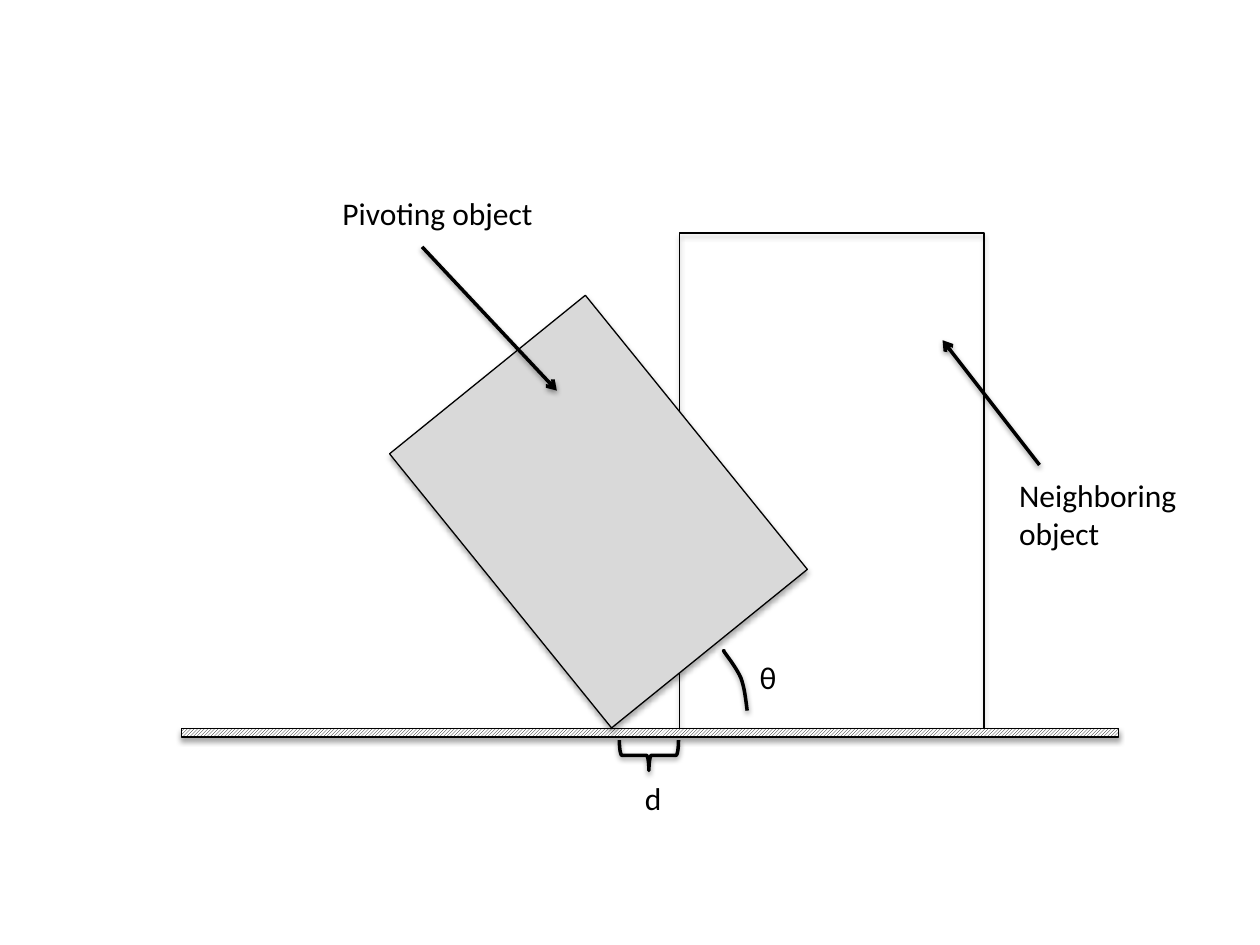
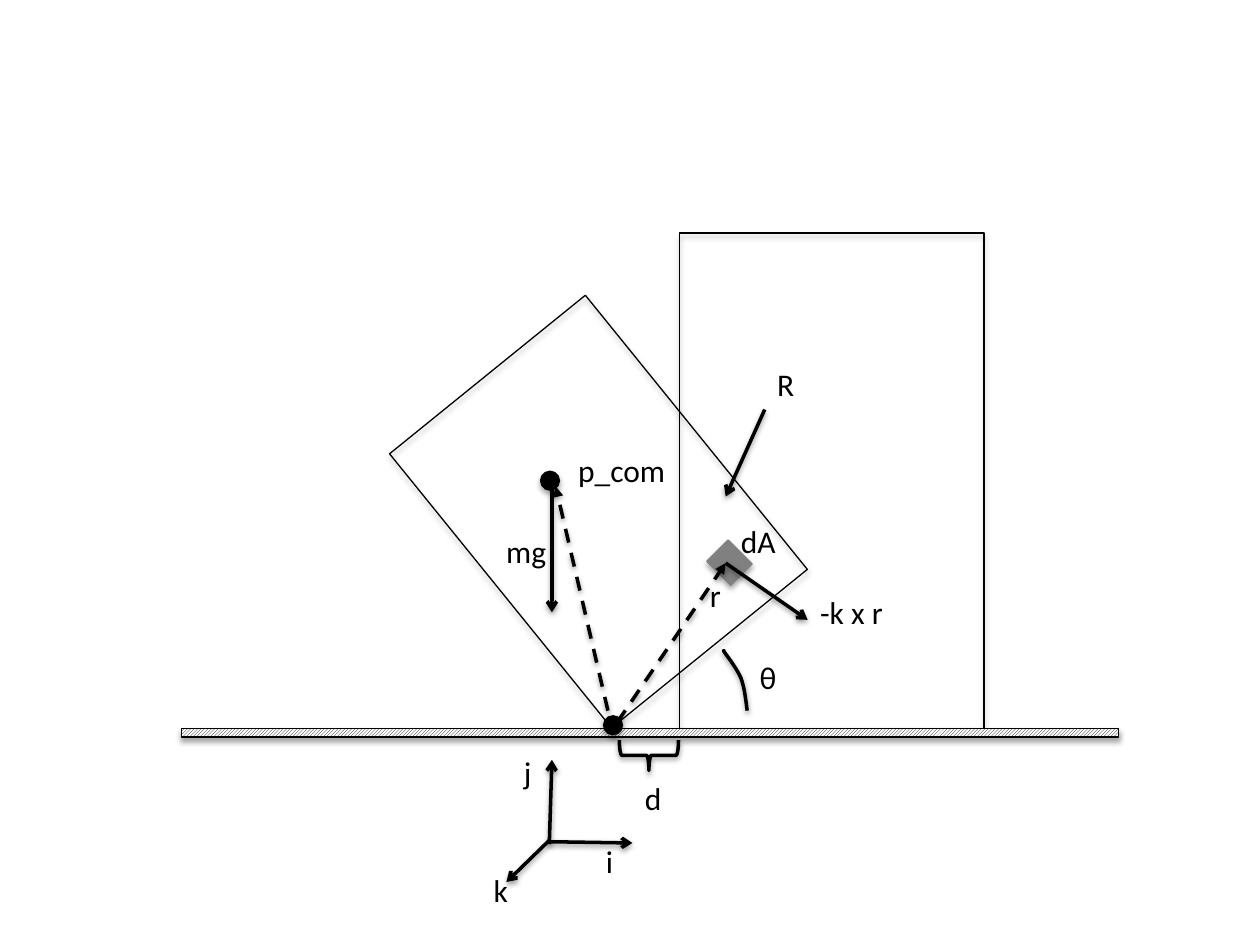
from math import cos, radians, sin

from lxml import etree
from pptx import Presentation
from pptx.dml.color import RGBColor
from pptx.enum.dml import MSO_LINE, MSO_PATTERN
from pptx.enum.shapes import MSO_CONNECTOR, MSO_SHAPE
from pptx.enum.text import MSO_AUTO_SIZE
from pptx.oxml.ns import qn
from pptx.util import Pt

RECTANGLE, OVAL, LEFT_BRACE = MSO_SHAPE.RECTANGLE, MSO_SHAPE.OVAL, MSO_SHAPE.LEFT_BRACE
STRAIGHT = MSO_CONNECTOR.STRAIGHT
DASH = MSO_LINE.DASH
HATCH = MSO_PATTERN.LIGHT_UPWARD_DIAGONAL
SHRINK_TO_TEXT = MSO_AUTO_SIZE.SHAPE_TO_FIT_TEXT

COLORS = {"ink": "000000", "paper": "FFFFFF", "object": "D9D9D9", "patch": "808080"}
FONT, FONT_SIZE = "Calibri", 18
THIN, THICK = 0.75, 2
FIRST_LINE, LINE_STEP = 29, 22

# Shared scene: left, top, width, height
FLOOR = (103.7, 416.2, 535.7, 5)
NEIGHBOR = (388.1, 133.2, 174.2, 283)
BRACE = (362.2, 414.7, 17.3, 33.8)
PATCH = (408.2, 311.8, 17.3, 19.4)
PIVOT = (349.5, 416)
PIVOTING_SIZE = (144, 201.6)
TILT = 39
ANGLE_START = (427, 406.1)
ANGLE_CURVES = [
    ((426.2, 399.6), (425.5, 393.1), (423.4, 387.4)),
    ((421.2, 382.3), (416.2, 375.8), (414.7, 373.7)),
    ((412.6, 370.8), (414, 372.2), (414, 372.2)),
]
CURVE_STEPS = 8

# Labels: lines, left, top, width
SCENE_LABELS = [(["θ"], 427, 372.2, 24.5), (["d"], 361.4, 441.4, 23.8)]
OBJECT_LABELS = [
    (["Neighboring", "object"], 575.3, 268.6, 105.1),
    (["Pivoting object"], 188.6, 107.3, 124.6),
]
FORCE_LABELS = [
    (["mg"], 282.2, 300.2, 37.4),
    (["p_com"], 323.3, 254.2, 64.8),
    (["dA"], 416.2, 294.5, 34.6),
    (["r"], 398.6, 325.4, 21),
    (["k"], 275, 493.9, 23),
    (["i"], 339.1, 477.4, 18.7),
    (["j"], 292.3, 427, 18.7),
    (["R"], 437, 205.2, 24.5),
    (["-k x r"], 461.5, 335.5, 51.1),
]

# Arrows: start, end
OBJECT_ARROWS = [((241.2, 141.1), (318.2, 223.2)), ((594, 265.7), (538.6, 194.4))]
FORCE_ARROWS = [
    ((315.4, 277.9), (315.4, 349.9)),
    ((437, 234), (414.7, 283.7)),
    ((414.7, 321.8), (461.5, 354.2)),
]
AXIS_ARROWS = [
    ((313.9, 482.4), (315.4, 434.2)),
    ((313.9, 481), (361.4, 481.7)),
    ((313.9, 480.2), (289.4, 504)),
]
POSITION_VECTORS = [((350.6, 419.8), (317.5, 277.9)), ((352.8, 412.6), (414.7, 321.8))]
DOT_CENTERS = [(314.3, 274.7), (350.3, 414.4)]
DOT_SIZE = 10.8


def rgb(name):
    return RGBColor.from_string(COLORS[name])


def add_shadow(shape, opacity, distance):
    effects = etree.SubElement(shape.element.spPr, qn("a:effectLst"))
    shadow = etree.SubElement(
        effects, qn("a:outerShdw"), blurRad=str(Pt(3.1)), dist=str(Pt(distance)),
        dir="5400000", rotWithShape="0")
    color = etree.SubElement(shadow, qn("a:srgbClr"), val=COLORS["ink"])
    etree.SubElement(color, qn("a:alpha"), val=str(opacity * 1000))


def draw_outline(shape, width, color="ink"):
    shape.line.color.rgb = rgb(color)
    shape.line.width = Pt(width)
    if width == THICK:
        add_shadow(shape, 38, 1.6)
    else:
        add_shadow(shape, 35, 1.8)


def add_figure(slide, kind, box, fill=None, line="ink", width=THIN, rotation=0):
    figure = slide.shapes.add_shape(kind, *map(Pt, box))
    figure.rotation = rotation
    if fill:
        figure.fill.solid()
        figure.fill.fore_color.rgb = rgb(fill)
    else:
        figure.fill.background()
    draw_outline(figure, width, line)
    return figure


def add_arrows(slide, arrows, head="arrow", dash=None):
    for start, end in arrows:
        arrow = slide.shapes.add_connector(STRAIGHT, *map(Pt, start + end))
        draw_outline(arrow, THICK)
        if dash:
            arrow.line.dash_style = dash
        etree.SubElement(arrow.element.spPr.find(qn("a:ln")), qn("a:tailEnd"), type=head)


def add_labels(slide, labels):
    for lines, left, top, width in labels:
        height = FIRST_LINE + LINE_STEP * (len(lines) - 1)
        frame = slide.shapes.add_textbox(*map(Pt, (left, top, width, height))).text_frame
        frame.word_wrap = False
        frame.auto_size = SHRINK_TO_TEXT
        for index, line in enumerate(lines):
            paragraph = frame.add_paragraph() if index else frame.paragraphs[0]
            run = paragraph.add_run()
            run.text = line
            run.font.name = FONT
            run.font.size = Pt(FONT_SIZE)
            run.font.color.rgb = rgb("ink")


def pivoting_box():
    """Unrotated box whose lower left corner meets PIVOT after tilting."""
    width, height = PIVOTING_SIZE
    c, s = cos(radians(TILT)), sin(radians(TILT))
    center_x = PIVOT[0] - (height * s - width * c) / 2
    center_y = PIVOT[1] - (width * s + height * c) / 2
    return center_x - width / 2, center_y - height / 2, width, height


def curve_points(start, curves):
    """Sample a chain of cubic Bézier curves."""
    points = []
    for first, second, end in curves:
        for step in range(1, CURVE_STEPS + 1):
            t = step / CURVE_STEPS
            u = 1 - t
            points.append(tuple(
                Pt(u**3 * a + 3 * u * u * t * b + 3 * u * t * t * c + t**3 * d)
                for a, b, c, d in zip(start, first, second, end)))
        start = end
    return points


def draw_scene(slide, pivoting_fill=None):
    add_figure(slide, RECTANGLE, NEIGHBOR)
    floor = add_figure(slide, RECTANGLE, FLOOR)
    floor.fill.patterned()
    floor.fill.pattern = HATCH
    floor.fill.fore_color.rgb = rgb("ink")
    floor.fill.back_color.rgb = rgb("paper")
    add_figure(slide, RECTANGLE, pivoting_box(), pivoting_fill, rotation=360 - TILT)

    outline = slide.shapes.build_freeform(*map(Pt, ANGLE_START))
    outline.add_line_segments(curve_points(ANGLE_START, ANGLE_CURVES), close=False)
    angle = outline.convert_to_shape()
    angle.fill.background()
    draw_outline(angle, THICK)

    add_figure(slide, LEFT_BRACE, BRACE, width=THICK, rotation=270)
    add_labels(slide, SCENE_LABELS)


def draw_objects(slide):
    draw_scene(slide, "object")
    add_arrows(slide, OBJECT_ARROWS)
    add_labels(slide, OBJECT_LABELS)


def draw_forces(slide):
    add_figure(slide, RECTANGLE, PATCH, "patch", "patch", rotation=315)
    draw_scene(slide)
    add_arrows(slide, POSITION_VECTORS, "triangle", DASH)
    for x, y in DOT_CENTERS:
        add_figure(slide, OVAL, (x - DOT_SIZE / 2, y - DOT_SIZE / 2, DOT_SIZE, DOT_SIZE), "ink")
    add_arrows(slide, FORCE_ARROWS + AXIS_ARROWS)
    add_labels(slide, FORCE_LABELS)


def main():
    deck = Presentation()
    deck.slide_width, deck.slide_height = Pt(720), Pt(540)
    blank = deck.slide_layouts[6]
    for draw in (draw_objects, draw_forces):
        draw(deck.slides.add_slide(blank))
    deck.save("out.pptx")


if __name__ == "__main__":
    main()
